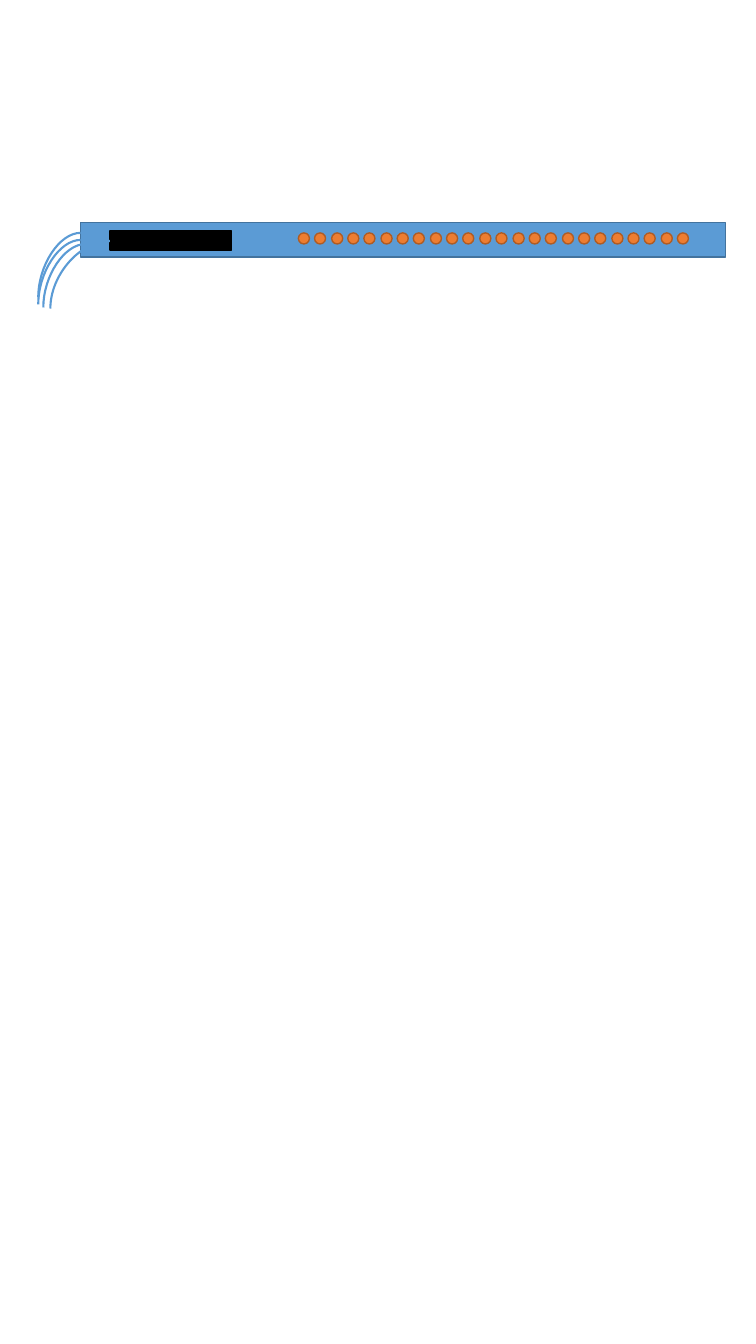
"""Draw a light bar with a black label, a row of lamps and four wires."""
from dataclasses import dataclass

from pptx import Presentation
from pptx.dml.color import RGBColor
from pptx.enum.shapes import MSO_CONNECTOR as Link, MSO_SHAPE as Preset
from pptx.oxml.ns import qn
from pptx.oxml.xmlchemy import OxmlElement
from pptx.slide import Slide
from pptx.util import Emu, Pt

EMU_PER_PX = 9144
SLIDE_WIDTH, SLIDE_HEIGHT = 750, 1333
LAMP_COUNT, FIRST_LAMP, LAST_LAMP = 24, 296, 672


@dataclass(frozen=True)
class Part:
    left: int
    top: int
    width: int
    height: int
    preset: Preset
    fill: str
    edge: str


@dataclass(frozen=True)
class Wire:
    start_x: int
    start_y: int
    end_x: int
    end_y: int


BAR = Part(80, 221, 640, 34, Preset.RECTANGLE, "5B9BD5", "43739E")
LABEL = Part(109, 229, 121, 19, Preset.RECTANGLE, "000000", "000000")
LAMPS = [
    Part(FIRST_LAMP + round(i * (LAST_LAMP - FIRST_LAMP) / (LAMP_COUNT - 1)),
         231, 11, 11, Preset.OVAL, "ED7D31", "AF5C24")
    for i in range(LAMP_COUNT)
]
WIRES = [
    Wire(80, 238, 38, 302),
    Wire(85, 242, 43, 305),
    Wire(109, 239, 50, 306),
    Wire(80, 231, 38, 295),
]


def px(length: int) -> Emu:
    return Emu(length * EMU_PER_PX)


def colour(code: str) -> RGBColor:
    return RGBColor.from_string(code)


def draw_part(slide: Slide, part: Part) -> None:
    shape = slide.shapes.add_shape(
        part.preset, px(part.left), px(part.top), px(part.width), px(part.height))
    shape.shadow.inherit = False
    shape.fill.solid()
    shape.fill.fore_color.rgb = colour(part.fill)
    shape.line.color.rgb = colour(part.edge)
    shape.line.width = Pt(1)


def draw_wire(slide: Slide, wire: Wire) -> None:
    curve = slide.shapes.add_connector(
        Link.CURVE, px(wire.start_x), px(wire.start_y), px(wire.end_x), px(wire.end_y))
    curve.line.color.rgb = colour("5B9BD5")
    curve.line.width = Pt(1.5)
    properties = curve.element.spPr
    properties.find(qn("a:prstGeom")).set("prst", "curvedConnector2")
    properties.append(OxmlElement("a:effectLst"))


def main() -> None:
    deck = Presentation()
    page_size = {"slide_width": px(SLIDE_WIDTH), "slide_height": px(SLIDE_HEIGHT)}
    for name, value in page_size.items():
        setattr(deck, name, value)
    slide = deck.slides.add_slide(deck.slide_layouts[6])
    for part in [BAR, LABEL, *LAMPS]:
        draw_part(slide, part)
    for wire in WIRES:
        draw_wire(slide, wire)
    deck.save("out.pptx")


if __name__ == "__main__":
    main()
